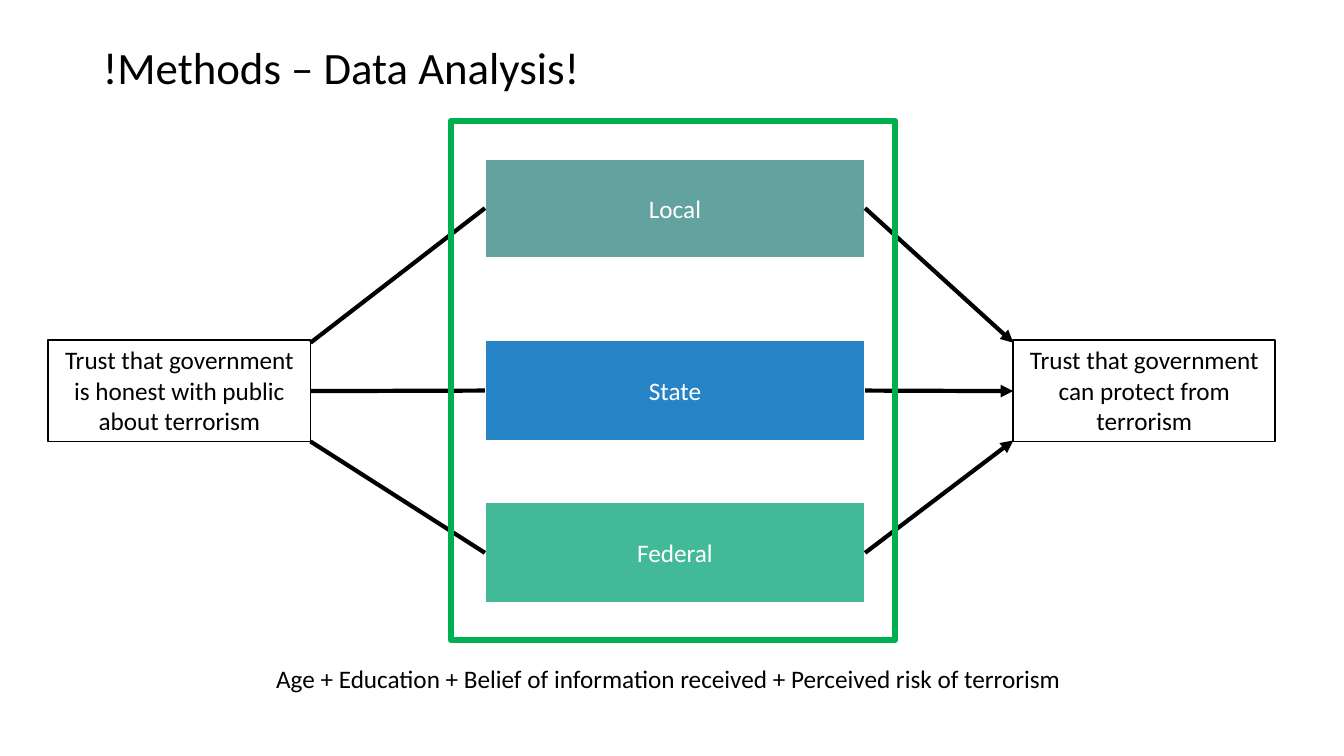
from lxml.etree import SubElement
from pptx import Presentation
from pptx.dml.color import RGBColor
from pptx.enum.shapes import MSO_CONNECTOR, MSO_SHAPE
from pptx.enum.text import MSO_ANCHOR, PP_ALIGN
from pptx.oxml.ns import qn
from pptx.util import Inches, Pt

FONT = "Calibri"
BLACK, WHITE, GREEN = "000000", "FFFFFF", "00B050"
LEVEL_LEFT, LEVEL_WIDTH = 4.81, 3.77
LEVEL_RIGHT = LEVEL_LEFT + LEVEL_WIDTH
TRUST_TOP, TRUST_WIDTH, TRUST_HEIGHT = 3.37, 2.6, 1.01
HONESTY_LEFT, PROTECTION_LEFT = 0.48, 10.05
HONESTY_RIGHT = HONESTY_LEFT + TRUST_WIDTH

# name, top, height, fill, and the heights where its lines meet the left and right boxes
LEVELS = [
    ("Local", 1.57, 0.99, "62A39F", 3.4, 3.4),
    ("State", 3.37, 1.01, "2683C6", 3.88, 3.88),
    ("Federal", 4.98, 1.01, "42BA97", 4.38, 4.37),
]


def color(value):
    return RGBColor.from_string(value)


def write(shape, text, size=18, ink=BLACK, align=PP_ALIGN.LEFT, anchor=MSO_ANCHOR.TOP):
    frame = shape.text_frame
    frame.word_wrap = True
    frame.vertical_anchor = anchor
    frame.text = text
    para = frame.paragraphs[0]
    para.alignment = align
    for span in para.runs:
        span.font.name = FONT
        span.font.size = Pt(size)
        span.font.color.rgb = color(ink)


def add_title(page, text):
    title = page.shapes.title
    title.left, title.top = Inches(0.92), Inches(0.4)
    title.width, title.height = Inches(11.5), Inches(1.45)
    write(title, text, size=32)
    title.text_frame.paragraphs[0].line_spacing = 0.9


def add_box(page, left, top, width, height, fill, line, line_width):
    box = page.shapes.add_shape(
        MSO_SHAPE.RECTANGLE, Inches(left), Inches(top), Inches(width), Inches(height))
    box.shadow.inherit = False
    if fill:
        box.fill.solid()
        box.fill.fore_color.rgb = color(fill)
    else:
        box.fill.background()
    box.line.color.rgb = color(line)
    box.line.width = Pt(line_width)
    return box


def add_trust_box(page, left, text):
    box = add_box(page, left, TRUST_TOP, TRUST_WIDTH, TRUST_HEIGHT, WHITE, BLACK, 1.25)
    write(box, text, align=PP_ALIGN.CENTER)


def add_level_box(page, name, top, height, fill):
    box = add_box(page, LEVEL_LEFT, top, LEVEL_WIDTH, height, fill, WHITE, 2)
    write(box, name, ink=WHITE, align=PP_ALIGN.CENTER, anchor=MSO_ANCHOR.MIDDLE)


def add_line(page, start, end, arrow=False):
    line = page.shapes.add_connector(
        MSO_CONNECTOR.STRAIGHT, *(Inches(value) for value in (*start, *end)))
    line.line.color.rgb = color(BLACK)
    line.line.width = Pt(3)
    if arrow:
        SubElement(line.line._get_or_add_ln(), qn("a:tailEnd"), type="triangle")
    SubElement(line._element.spPr, qn("a:effectLst"))


def add_covariates(page, text):
    box = page.shapes.add_textbox(Inches(2.64), Inches(6.53), Inches(8.12), Inches(0.4))
    write(box, text)


def main():
    deck = Presentation()
    deck.slide_width, deck.slide_height = Inches(13.33), Inches(7.5)
    page = deck.slides.add_slide(deck.slide_layouts[5])

    add_title(page, "!Methods – Data Analysis!")
    add_trust_box(page, PROTECTION_LEFT, "Trust that government can protect from terrorism")
    add_trust_box(page, HONESTY_LEFT,
                  "Trust that government is honest with public about terrorism")
    for name, top, height, fill, honesty_y, protection_y in LEVELS:
        add_level_box(page, name, top, height, fill)
        middle = top + height / 2
        add_line(page, (HONESTY_RIGHT, honesty_y), (LEVEL_LEFT, middle))
        add_line(page, (LEVEL_RIGHT, middle), (PROTECTION_LEFT, protection_y), arrow=True)
    add_covariates(
        page, "Age + Education + Belief of information received + Perceived risk of terrorism")
    add_box(page, 4.47, 1.2, 4.41, 5.15, None, GREEN, 4.5)

    deck.save("out.pptx")


if __name__ == "__main__":
    main()
